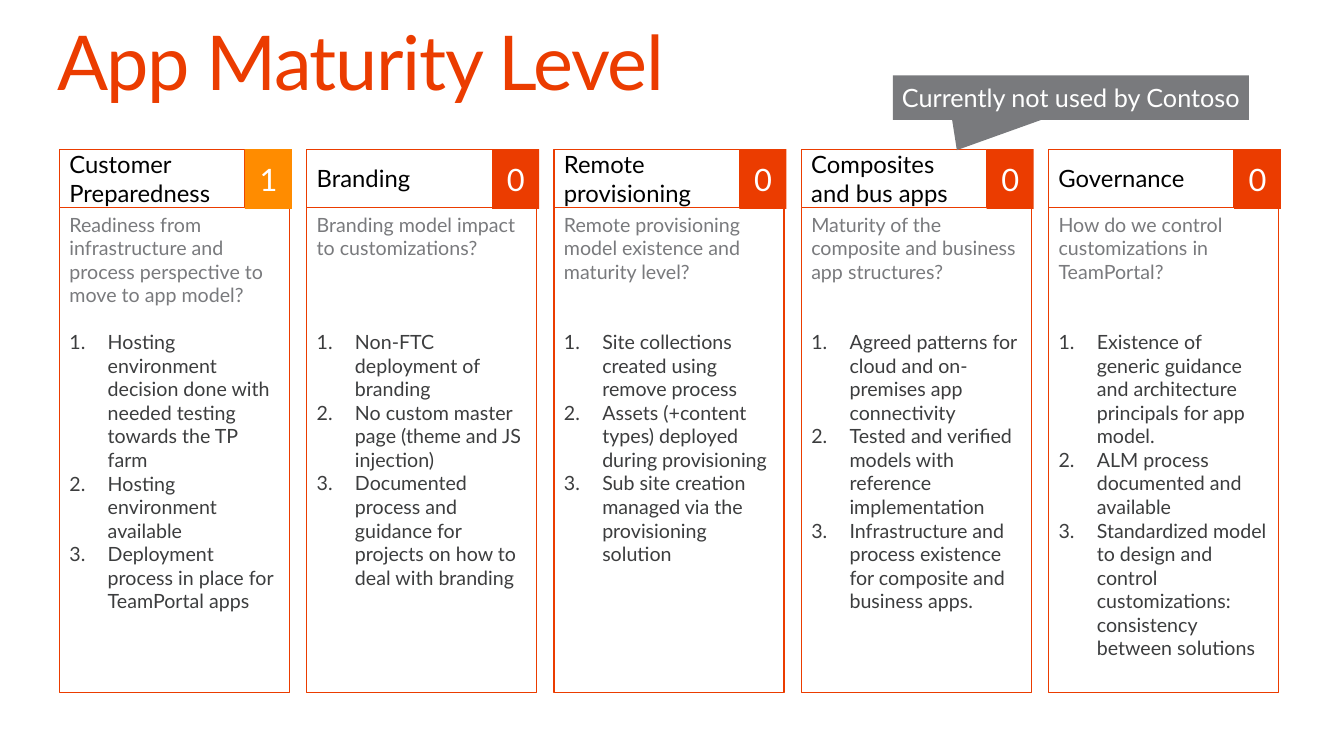
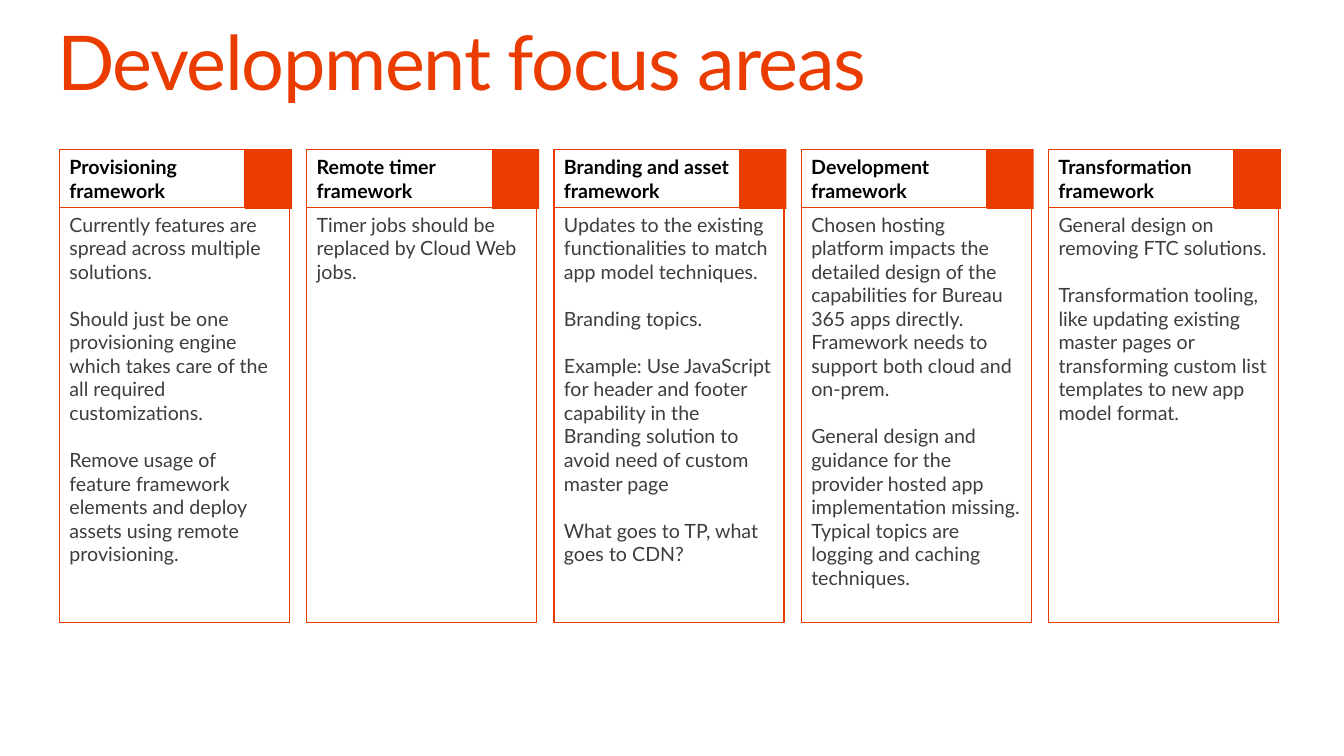
from lxml.etree import SubElement
from pptx import Presentation
from pptx.dml.color import RGBColor
from pptx.enum.shapes import MSO_SHAPE as Shape
from pptx.enum.text import MSO_ANCHOR as Anchor, PP_ALIGN as Align
from pptx.oxml.ns import qn
from pptx.util import Inches, Pt

COLORS = {
    "accent": "EB3C00",
    "started": "FF8C00",
    "gray": "797A7D",
    "body": "3C3D3E",
    "black": "000000",
    "white": "FFFFFF",
}
FONT = "Lato"
BODY_SIZE = 14
BODY_LINE = 16.8  # points from one line of body text to the next
LIST_INDENT = 0.38

# Grid in inches: columns and rows count from the first card's top left corner.
GRID_LEFT, GRID_TOP = 0.59, 1.48
COLUMN = (10.4 - GRID_LEFT) / 4
ROW = 0.58
HEADER_WIDTH, BADGE_WIDTH, CARD_WIDTH = 0.75, 0.19, 0.93

# Heading, score, question, blank lines below the question, criteria
MATURITY = [
    ("Customer Preparedness", 1,
     "Readiness from infrastructure and process perspective to move to app model?", 1,
     ["Hosting environment decision done with needed testing towards the TP farm",
      "Hosting environment available",
      "Deployment process in place for TeamPortal apps"]),
    ("Branding", 0,
     "Branding model impact to customizations?", 3,
     ["Non-FTC deployment of branding",
      "No custom master page (theme and JS injection)",
      "Documented process and guidance for projects on how to deal with branding"]),
    ("Remote provisioning", 0,
     "Remote provisioning model existence and maturity level?", 2,
     ["Site collections created using remove process",
      "Assets (+content types) deployed during provisioning",
      "Sub site creation managed via the provisioning solution"]),
    ("Composites and bus apps", 0,
     "Maturity of the composite and business app structures?", 2,
     ["Agreed patterns for cloud and on-premises app connectivity",
      "Tested and verified models with reference implementation",
      "Infrastructure and process existence for composite and business apps."]),
    ("Governance", 0,
     "How do we control customizations in TeamPortal?", 2,
     ["Existence of generic guidance and architecture principals for app model.",
      "ALM process documented and available",
      "Standardized model to design and control customizations: "
      "consistency between solutions"]),
]

FOCUS_AREAS = [
    ("Provisioning framework",
     ["Currently features are spread across multiple solutions.",
      "Should just be one provisioning engine which takes care of the all "
      "required customizations.",
      "Remove usage of feature framework elements and deploy assets using "
      "remote provisioning."]),
    ("Remote timer framework",
     ["Timer jobs should be replaced by Cloud Web jobs."]),
    ("Branding and asset framework",
     ["Updates to the existing functionalities to match app model techniques.",
      "Branding topics.",
      "Example: Use JavaScript for header and footer capability in the "
      "Branding solution to avoid need of custom master page",
      "What goes to TP, what goes to CDN?"]),
    ("Development framework",
     ["Chosen hosting platform impacts the detailed design of the capabilities "
      "for Bureau 365 apps directly. Framework needs to support both cloud and on-prem.",
      "General design and guidance for the provider hosted app implementation "
      "missing. Typical topics are logging and caching techniques."]),
    ("Transformation framework",
     ["General design on removing FTC solutions.",
      "Transformation tooling, like updating existing master pages or "
      "transforming custom list templates to new app model format."]),
]


def rgb(name):
    return RGBColor.from_string(COLORS[name])


def place(column, row, columns, rows):
    """Turn grid units into left, top, width and height."""
    return (Inches(GRID_LEFT + column * COLUMN), Inches(GRID_TOP + row * ROW),
            Inches(columns * COLUMN), Inches(rows * ROW))


def add_text(frame, text, size=BODY_SIZE, color="body", bold=False, align=Align.LEFT,
             lines_before=0, line_spacing=None, tracking=None, numbered=False):
    """Write one paragraph, using the frame's first one while it is empty."""
    paragraph = frame.add_paragraph() if frame.text else frame.paragraphs[0]
    paragraph.alignment = align
    paragraph.space_before = Pt(lines_before * BODY_LINE)
    if line_spacing:
        paragraph.line_spacing = line_spacing
    run = paragraph.add_run()
    run.text = text
    run.font.name, run.font.size, run.font.bold = FONT, Pt(size), bold
    run.font.color.rgb = rgb(color)
    if tracking:
        run.font._element.set("spc", str(tracking * 100))
    if numbered:
        properties = paragraph._p.get_or_add_pPr()
        properties.set("marL", str(Inches(LIST_INDENT)))
        properties.set("indent", str(-Inches(LIST_INDENT)))
        SubElement(properties, qn("a:buAutoNum"), type="arabicPeriod")


def set_frame(frame, anchor, side, edge):
    frame.word_wrap = True
    frame.vertical_anchor = anchor
    frame.margin_left = frame.margin_right = Inches(side)
    frame.margin_top = frame.margin_bottom = Inches(edge)


class Deck:
    def __init__(self):
        self.file = Presentation()
        self.file.slide_width, self.file.slide_height = Inches(13.33), Inches(7.5)
        self.slide = None

    def start_slide(self, title):
        self.slide = self.file.slides.add_slide(self.file.slide_layouts[5])
        heading = self.slide.shapes.title
        heading.left, heading.top, heading.width, heading.height = place(
            -0.01, -2.12, 4.97, 1.41)
        set_frame(heading.text_frame, Anchor.TOP, 0, 0)
        add_text(heading.text_frame, title, size=54, color="accent",
                 line_spacing=0.9, tracking=-1)

    def box(self, parent, area, fill="white", line=None, kind=Shape.RECTANGLE,
            anchor=Anchor.MIDDLE, side=0.1):
        box = parent.shapes.add_shape(kind, *place(*area))
        box.shadow.inherit = False
        box.fill.solid()
        box.fill.fore_color.rgb = rgb(fill)
        if line:
            box.line.color.rgb = rgb(line)
            box.line.width = Pt(0.85)
        else:
            box.line.fill.background()
        set_frame(box.text_frame, anchor, side, 0.05)
        return box

    def card(self, column, heading, rows, score=None, size=17, bold=False):
        """Draw a header with its badge and return the empty text frame below."""
        body = self.box(self.slide, (column, 1, CARD_WIDTH, rows), line="accent",
                        anchor=Anchor.TOP)
        top = self.slide.shapes.add_group_shape()
        header = self.box(top, (column, 0, HEADER_WIDTH, 1), line="accent")
        add_text(header.text_frame, heading, size=size, color="black", bold=bold)
        badge = self.box(top, (column + HEADER_WIDTH, 0, BADGE_WIDTH, 1.02),
                         fill="started" if score else "accent", side=0.05)
        if score is not None:
            add_text(badge.text_frame, str(score), size=22, color="white",
                     align=Align.CENTER)
        return body.text_frame

    def callout(self, text, area, tip):
        callout = self.box(self.slide, area, fill="gray",
                           kind=Shape.RECTANGULAR_CALLOUT, side=0.05)
        callout.adjustments[0], callout.adjustments[1] = tip
        add_text(callout.text_frame, text, size=18, color="white", align=Align.CENTER)


def build_maturity(deck):
    deck.start_slide("App Maturity Level")
    for column, (heading, score, question, gap, criteria) in enumerate(MATURITY):
        body = deck.card(column, heading, rows=8.3, score=score)
        add_text(body, question, color="gray")
        for index, criterion in enumerate(criteria):
            add_text(body, criterion, numbered=True,
                     lines_before=0 if index else gap)
    deck.callout("Currently not used by Contoso", (3.37, -1.26, 1.44, 0.76),
                 tip=(-0.32, 1.18))


def build_focus_areas(deck):
    deck.start_slide("Development focus areas")
    for column, (heading, topics) in enumerate(FOCUS_AREAS):
        body = deck.card(column, heading, rows=7.1, size=BODY_SIZE, bold=True)
        for index, topic in enumerate(topics):
            add_text(body, topic, lines_before=1 if index else 0)


def main():
    deck = Deck()
    build_maturity(deck)
    build_focus_areas(deck)
    deck.file.save("out.pptx")


if __name__ == "__main__":
    main()
